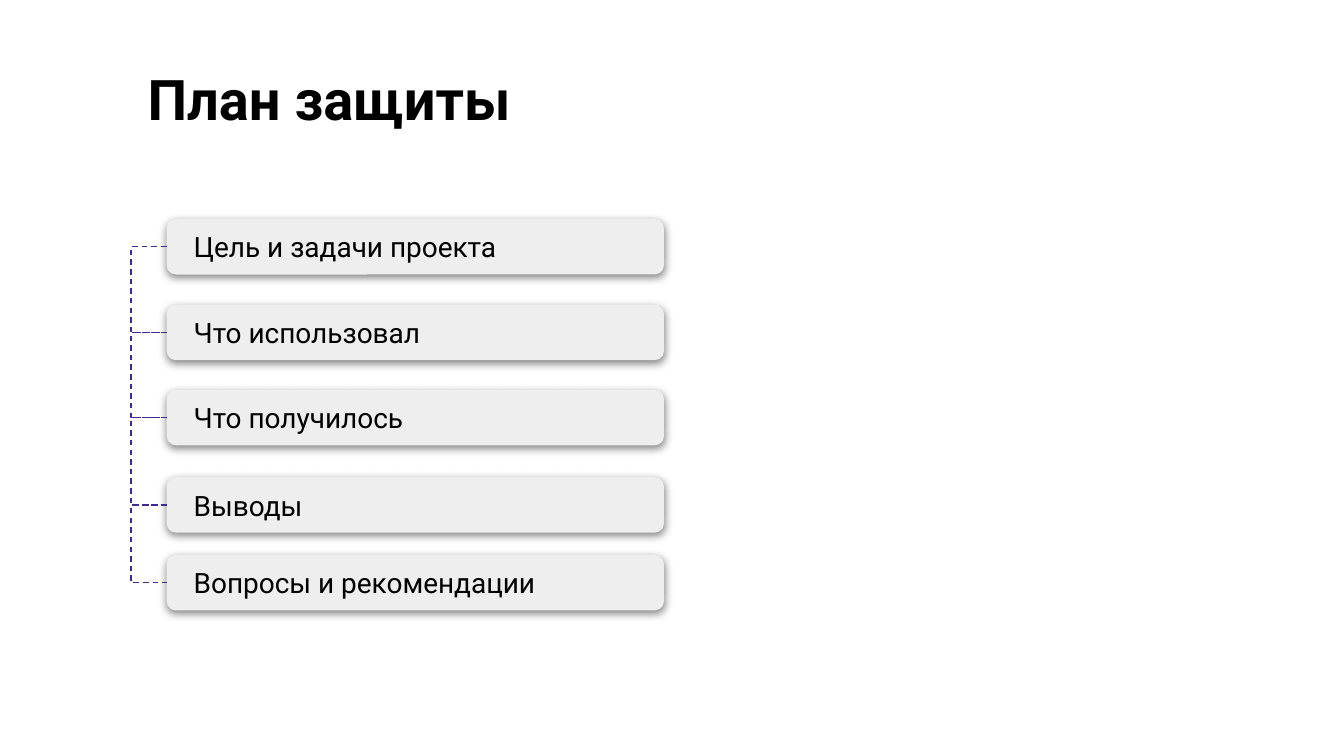
from lxml import etree
from pptx import Presentation, util as u
from pptx.dml.color import RGBColor
from pptx.enum import dml, shapes, text
from pptx.oxml import parse_xml
from pptx.oxml.ns import nsdecls, qn

SHADOW = f"""<a:effectLst {nsdecls('a')}>
  <a:outerShdw blurRad="57150" dist="19050" dir="5400000" algn="bl" rotWithShape="0">
    <a:srgbClr val="000000"><a:alpha val="50000"/></a:srgbClr>
  </a:outerShdw>
</a:effectLst>"""


def color(code):
    return RGBColor.from_string(code)


def write(shape, words, size, bold, side):
    """Fill a shape with one left-aligned line; side is the side inset in cm."""
    frame = shape.text_frame
    frame.word_wrap = True
    frame.margin_left = frame.margin_right = u.Cm(side)
    frame.margin_top = frame.margin_bottom = u.Cm(0.25)
    line = frame.paragraphs[0]
    line.text = words
    line.alignment = text.PP_ALIGN.LEFT
    line.font.name = "Roboto"
    line.font.size = u.Pt(size)
    line.font.bold = bold
    line.font.color.rgb = color("000000")
    return frame


deck = Presentation()
deck.slide_width, deck.slide_height = u.Cm(25.4), u.Cm(14.29)
slide = deck.slides.add_slide(deck.slide_layouts[6])

title = slide.shapes.add_textbox(u.Cm(2.54), u.Cm(0.97), u.Cm(10.24), u.Cm(1.78))
write(title, "План защиты", 30, True, 0.25)

left, width, height = 3.15, 9.4, 1.05
steps = [
    ("Цель и задачи проекта", 4.14),
    ("Что использовал", 5.76),
    ("Что получилось", 7.37),
    ("Выводы", 9.02),
    ("Вопросы и рекомендации", 10.49),
]

for words, top in steps:
    card = slide.shapes.add_shape(
        shapes.MSO_SHAPE.ROUNDED_RECTANGLE,
        u.Cm(left), u.Cm(top), u.Cm(width), u.Cm(height))
    card.adjustments[0] = 0.167
    card.fill.solid()
    card.fill.fore_color.rgb = color("EEEEEE")
    card.line.fill.background()
    card._element.spPr.append(parse_xml(SHADOW))
    frame = write(card, words, 15, False, 0.46)
    frame.vertical_anchor = text.MSO_ANCHOR.MIDDLE

# Each link bends out to the left of the cards it joins.
reach, run = 0.67, 0.01
for (_, top), (_, low) in zip(steps, steps[1:]):
    link = slide.shapes.add_connector(
        shapes.MSO_CONNECTOR.ELBOW,
        u.Cm(left), u.Cm(top + height / 2),
        u.Cm(left + run), u.Cm(low + height / 2))
    link.line.color.rgb = color("3F299A")
    link.line.width = u.Pt(0.75)
    link.line.dash_style = dml.MSO_LINE.DASH
    props = link._element.spPr
    bend = props.find(qn("a:prstGeom")).find(qn("a:avLst"))
    ratio = round(-reach / run * 100000)
    etree.SubElement(bend, qn("a:gd"), name="adj1", fmla=f"val {ratio}")
    etree.SubElement(props, qn("a:effectLst"))

deck.save("out.pptx")
